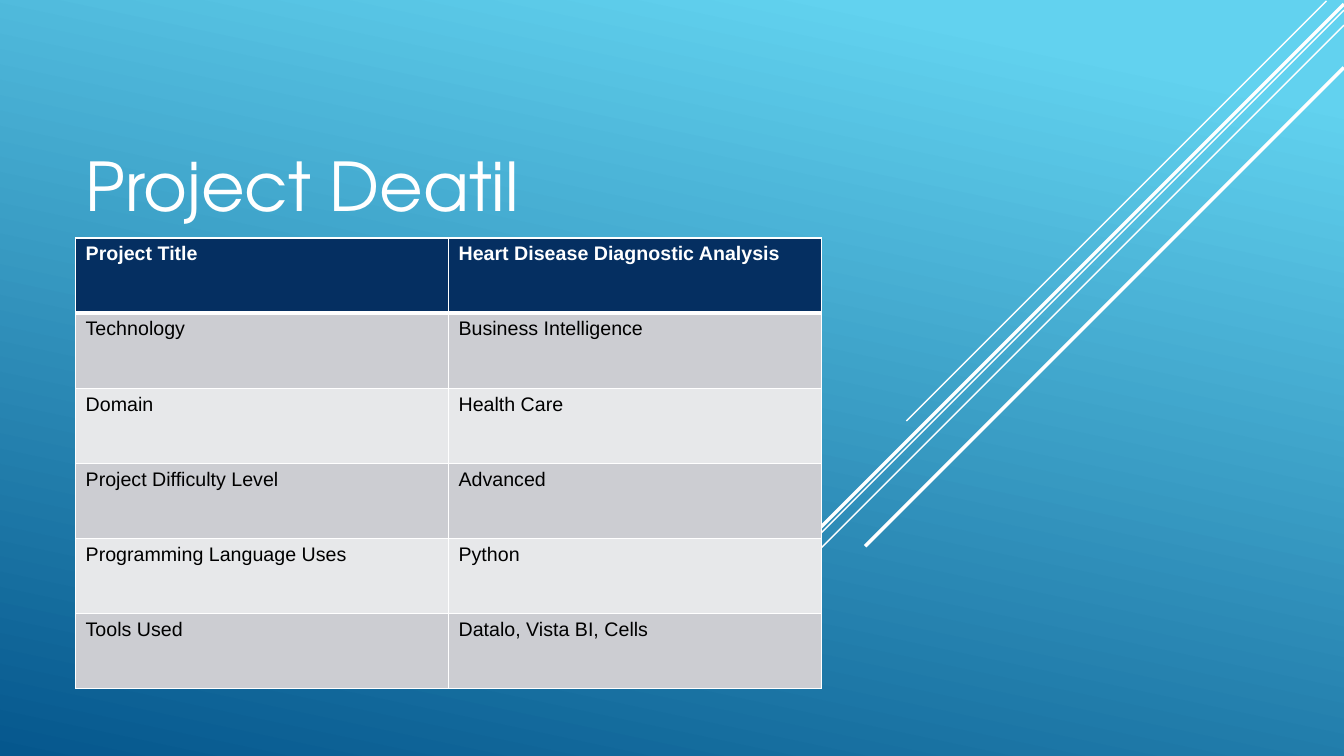
from typing import NamedTuple

from lxml.etree import SubElement
from pptx import Presentation
from pptx.dml.color import RGBColor
from pptx.enum.shapes import MSO_CONNECTOR
from pptx.enum.text import MSO_ANCHOR
from pptx.oxml.ns import qn
from pptx.util import Pt

WHITE, BLACK, NAVY = "FFFFFF", "000000", "052F61"
ROW_FILLS = ("CCCDD2", "E7E8EA")
SKY, DEEP_BLUE = "62D2EF", "05578D"


class Streak(NamedTuple):
    """A 45-degree line running down and left from its upper end."""
    x: float
    y: float
    run: float
    weight: float


STREAKS = (
    Streak(947.5, 0.7, 300, 1),
    Streak(960, 7.2, 479, 1),
    Streak(960, 18, 390, 1),
    Streak(960, 2.9, 382, 2.5),
    Streak(960, 48.2, 342, 2.5),
)

PROJECT_ROWS = (
    ("Project Title", "Heart Disease Diagnostic Analysis"),
    ("Technology", "Business Intelligence"),
    ("Domain", "Health Care"),
    ("Project Difficulty Level", "Advanced"),
    ("Programming Language Uses", "Python"),
    ("Tools Used", "Datalo, Vista BI, Cells"),
)


def color(value: str) -> RGBColor:
    return RGBColor.from_string(value)


def write(frame, text: str, *, font: str, size: float, fill: str,
          bold: bool = False) -> None:
    span = frame.paragraphs[0].add_run()
    span.text = text
    span.font.name = font
    span.font.size = Pt(size)
    span.font.bold = bold
    span.font.color.rgb = color(fill)


def paint_background(page) -> None:
    fill = page.background.fill
    fill.gradient()
    fill.gradient_angle = 258
    for stop, position, shade in zip(fill.gradient_stops, (0.1, 1), (SKY, DEEP_BLUE)):
        stop.position = position
        stop.color.rgb = color(shade)


def draw_streak(page, streak: Streak) -> None:
    line = page.shapes.add_connector(
        MSO_CONNECTOR.STRAIGHT, Pt(streak.x), Pt(streak.y),
        Pt(streak.x - streak.run), Pt(streak.y + streak.run))
    line.line.color.rgb = color(WHITE)
    line.line.width = Pt(streak.weight)
    SubElement(line._element.spPr, qn("a:effectLst"))


def draw_title(page, text: str) -> None:
    box = page.shapes.add_textbox(Pt(54), Pt(54), Pt(426), Pt(110))
    box.text_frame.word_wrap = True
    box.text_frame.vertical_anchor = MSO_ANCHOR.BOTTOM
    write(box.text_frame, text, font="TeX Gyre Adventor", size=48, fill=WHITE)


def set_borders(cell, top: float, bottom: float) -> None:
    properties = cell._tc.get_or_add_tcPr()
    for side, weight in (("L", 1), ("R", 1), ("T", top), ("B", bottom)):
        edge = SubElement(properties, qn(f"a:ln{side}"), w=str(Pt(weight)))
        SubElement(SubElement(edge, qn("a:solidFill")), qn("a:srgbClr"), val=WHITE)


def draw_table(page) -> None:
    row_height, column_width = 53.64, 266.4
    row_count, column_count = len(PROJECT_ROWS), len(PROJECT_ROWS[0])
    table = page.shapes.add_table(
        row_count, column_count, Pt(54), Pt(170),
        Pt(column_width * column_count), Pt(row_height * row_count)).table
    for column in table.columns:
        column.width = Pt(column_width)
    for index, texts in enumerate(PROJECT_ROWS):
        table.rows[index].height = Pt(row_height)
        header = index == 0
        for column_index, text in enumerate(texts):
            cell = table.cell(index, column_index)
            # A heavy rule separates the header from the body
            set_borders(cell, top=3 if index == 1 else 1, bottom=3 if header else 1)
            cell.fill.solid()
            cell.fill.fore_color.rgb = color(NAVY if header else ROW_FILLS[(index - 1) % 2])
            write(cell.text_frame, text, font="Arial", size=14,
                  fill=WHITE if header else BLACK, bold=header)


def main() -> None:
    deck = Presentation()
    deck.slide_width, deck.slide_height = Pt(960), Pt(540)
    page = deck.slides.add_slide(deck.slide_layouts[6])

    # Backdrop
    paint_background(page)
    for streak in STREAKS:
        draw_streak(page, streak)

    # Content
    draw_title(page, "Project Deatil")
    draw_table(page)
    deck.save("out.pptx")


if __name__ == "__main__":
    main()
